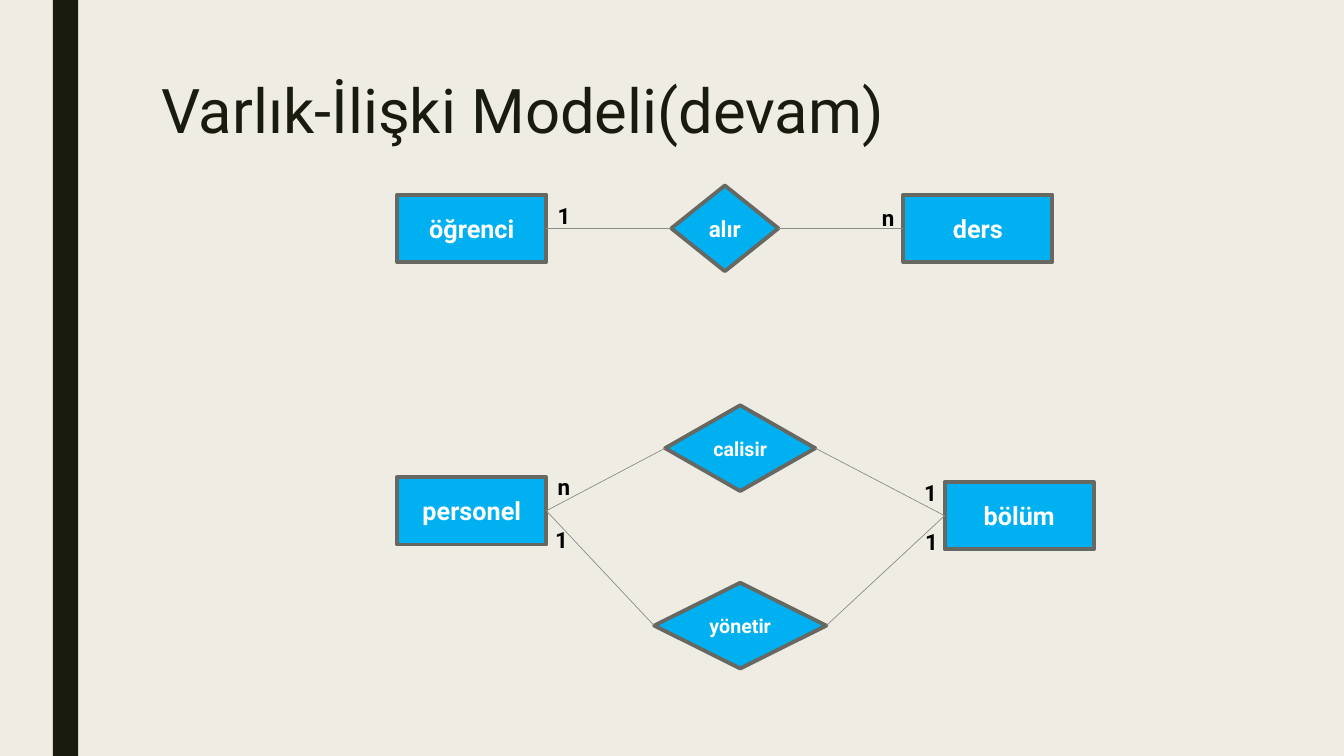
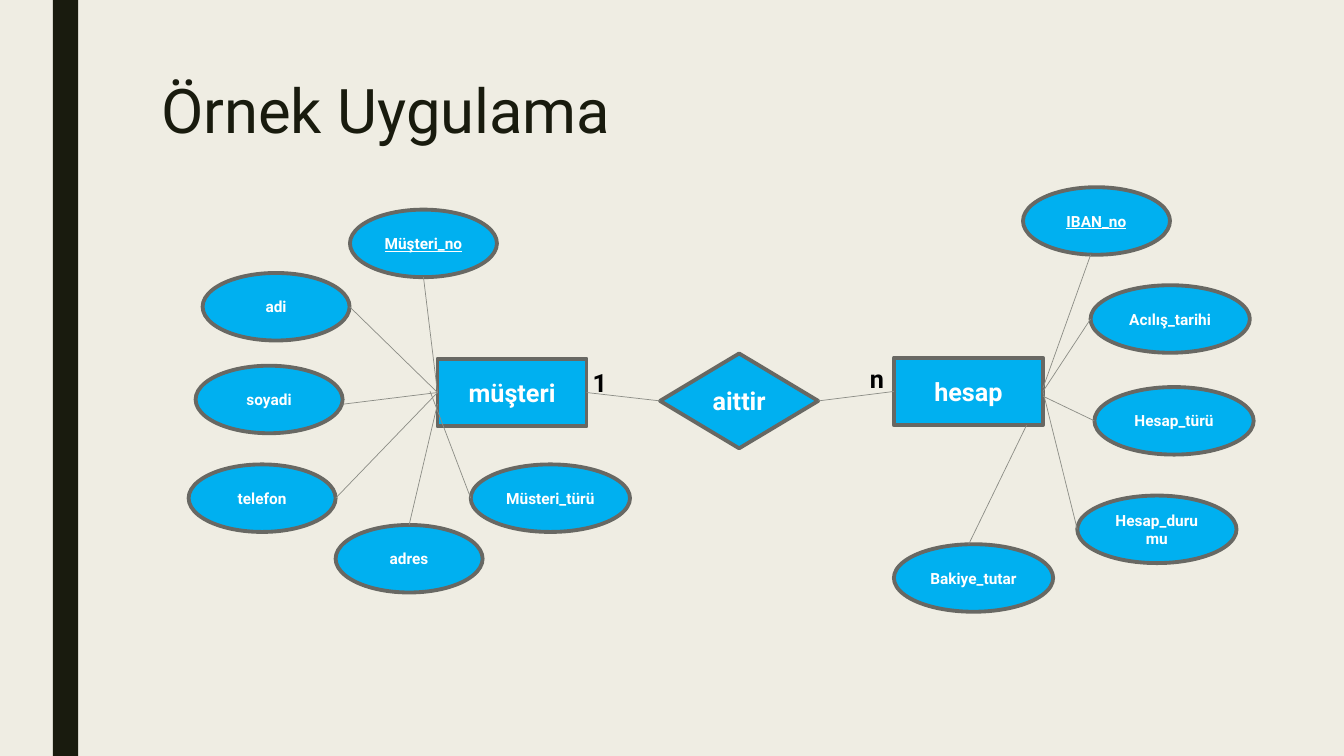
from dataclasses import dataclass

import pptx
import pptx.dml.color
import pptx.enum.shapes
import pptx.enum.text
import pptx.oxml.ns
import pptx.util
from lxml import etree

Pt = pptx.util.Pt
MSO = pptx.enum.shapes.MSO_SHAPE
ALIGN = pptx.enum.text.PP_ALIGN
ANCHOR = pptx.enum.text.MSO_ANCHOR


@dataclass(frozen=True)
class Theme:
    font: str = "Roboto"
    paper: str = "EFEDE3"
    ink: str = "191B0E"
    fill: str = "00B0F0"
    border: str = "686863"
    edge: str = "8C8D86"
    light: str = "FFFFFF"
    dark: str = "000000"
    title_size: int = 44
    entity_size: int = 18
    label_size: int = 16
    verb_size: int = 14
    attribute_size: int = 11


T = Theme()
ENTITY_W, ENTITY_H = 106.5, 48.25
ATTRIBUTE_H = 48.25
NARROW, WIDE = 105, 113.75  # attribute widths
LEFT, RIGHT, TOP, BOTTOM = (0, 0.5), (1, 0.5), (0.5, 0), (0.5, 1)


def rgb(value):
    return pptx.dml.color.RGBColor.from_string(value)


# Basic parts
def write(tf, text, size, color, bold=True, underline=None):
    tf.text = text
    p = tf.paragraphs[0]
    font = p.runs[0].font
    font.name, font.size, font.bold = T.font, Pt(size), bold
    font.underline = underline
    font.color.rgb = rgb(color)
    return p


def add_node(s, kind, x, y, w, h, text, size, underline=None):
    sp = s.shapes.add_shape(kind, Pt(x), Pt(y), Pt(w), Pt(h))
    sp.shadow.inherit = False
    sp.fill.solid()
    sp.fill.fore_color.rgb = rgb(T.fill)
    sp.line.color.rgb = rgb(T.border)
    sp.line.width = Pt(2.75)
    tf = sp.text_frame
    tf.word_wrap = True
    tf.vertical_anchor = ANCHOR.MIDDLE
    write(tf, text, size, T.light, underline=underline).alignment = ALIGN.CENTER
    return sp


def add_entity(s, x, y, text):
    return add_node(s, MSO.RECTANGLE, x, y, ENTITY_W, ENTITY_H, text, T.entity_size)


def spot(sp, at):
    """Point of a shape, given as fractions of its width and height."""
    return int(sp.left + at[0] * sp.width), int(sp.top + at[1] * sp.height)


def add_edge(s, a, at_a, b, at_b):
    line = s.shapes.add_connector(
        pptx.enum.shapes.MSO_CONNECTOR.STRAIGHT, *spot(a, at_a), *spot(b, at_b))
    line.line.color.rgb = rgb(T.edge)
    line.line.width = Pt(0.5)
    etree.SubElement(line._element.spPr, pptx.oxml.ns.qn("a:effectLst"))


def add_relation(s, left, right, x, y, w, h, text, size):
    """Diamond joined to the two entities beside it."""
    diamond = add_node(s, MSO.FLOWCHART_DECISION, x, y, w, h, text, size)
    add_edge(s, left, RIGHT, diamond, LEFT)
    add_edge(s, diamond, RIGHT, right, LEFT)


def add_label(s, x, y, text, size=T.label_size):
    tb = s.shapes.add_textbox(Pt(x), Pt(y), Pt(1.5 * size), Pt(1.65 * size))
    tb.text_frame.word_wrap = False
    write(tb.text_frame, text, size, T.dark)


# Shared frame: side band and title
def new_slide(prs, title):
    s = prs.slides.add_slide(prs.slide_layouts[6])
    band = s.shapes.add_shape(MSO.RECTANGLE, Pt(37.75), 0, Pt(18), prs.slide_height)
    band.shadow.inherit = False
    band.fill.solid()
    band.fill.fore_color.rgb = rgb(T.ink)
    band.line.fill.background()
    tb = s.shapes.add_textbox(Pt(108), Pt(54), Pt(756), Pt(116.5))
    tb.text_frame.word_wrap = True
    p = write(tb.text_frame, title, T.title_size, T.ink, bold=False)
    p.line_spacing = 0.89
    return s


# Regions
def single_relation(s, x, y, w, h):
    """Two entities at the ends of the box, one relation in its centre."""
    top = y + (h - ENTITY_H) / 2
    student = add_entity(s, x, top, "öğrenci")
    course = add_entity(s, x + w - ENTITY_W, top, "ders")
    verb_w = 76.5
    add_relation(s, student, course, x + (w - verb_w) / 2, y, verb_w, h,
                 "alır", T.label_size)
    add_label(s, x + 107.5, y + 8, "1")
    add_label(s, x + 339, y + 10, "n")


def double_relation(s, x, y, w, h):
    """Two entities joined by one relation above and one below."""
    staff = add_entity(s, x, y + 51.25, "personel")
    department = add_entity(s, x + w - ENTITY_W, y + 54.75, "bölüm")
    verb_h, axis = 61.25, x + 245
    for text, verb_w, top in (("calisir", 107.25, y), ("yönetir", 123, y + h - verb_h)):
        add_relation(s, staff, department, axis - verb_w / 2, top, verb_w, verb_h,
                     text, T.verb_size)
    for dx, dy, text in ((107.5, 44.75, "n"), (369.25, 49, "1"),
                         (370, 84.25, "1"), (105.75, 82.75, "1")):
        add_label(s, x + dx, y + dy, text)


def entity_cluster(s, x, y, name, attributes):
    """Entity at x, y with its attributes around it; the first is the key."""
    entity = add_entity(s, x, y, name)
    for i, (text, dx, dy, w, at_attribute, at_entity) in enumerate(attributes):
        oval = add_node(s, MSO.OVAL, x + dx, y + dy, w, ATTRIBUTE_H, text,
                        T.attribute_size, underline=True if i == 0 else None)
        add_edge(s, oval, at_attribute, entity, at_entity)
    return entity


# text, offset from the entity, width, edge point on attribute and on entity
CUSTOMER = [
    ("Müşteri_no", -62.5, -106.5, NARROW, TOP[:1] + (1,), LEFT),
    ("adi", -167.75, -61.25, NARROW, RIGHT, LEFT),
    ("soyadi", -172.75, 5, NARROW, (1, 0.57), LEFT),
    ("telefon", -177.75, 75.5, NARROW, RIGHT, LEFT),
    ("adres", -72.75, 118.75, NARROW, TOP, (0, 0.67)),
    ("Müsteri_türü", 23.75, 75.5, WIDE, LEFT, (-0.05, 0.48)),
]
ACCOUNT = [
    ("IBAN_no", 92.25, -121.75, NARROW, (0.46, 1), (1, 0.45)),
    ("Acılış_tarihi", 140.5, -51.75, WIDE, LEFT, RIGHT),
    ("Hesap_türü", 143.25, 21, WIDE, LEFT, (1, 0.57)),
    ("Hesap_durumu", 131, 98.5, WIDE, LEFT, RIGHT),
    ("Bakiye_tutar", 0, 133.25, WIDE, (0.47, 0), (0.89, 1)),
]


# Slides
def model_slide(prs):
    s = new_slide(prs, "Varlık-İlişki Modeli(devam)")
    single_relation(s, 283.75, 132.5, 468, 61.25)
    double_relation(s, 283.75, 289.5, 497.5, 188)


def example_slide(prs):
    s = new_slide(prs, "Örnek Uygulama")
    customer = entity_cluster(s, 312.5, 256.25, "müşteri", CUSTOMER)
    account = entity_cluster(s, 638.5, 255.5, "hesap", ACCOUNT)
    add_relation(s, customer, account, 471.5, 252.5, 113, 67.75, "aittir", T.entity_size)
    add_label(s, 416.25, 258.5, "1", T.entity_size)
    add_label(s, 614.25, 256.25, "n", T.entity_size)


def main():
    prs = pptx.Presentation()
    prs.slide_width, prs.slide_height = Pt(960), Pt(540)
    background = prs.slide_master.background.fill
    background.solid()
    background.fore_color.rgb = rgb(T.paper)
    model_slide(prs)
    example_slide(prs)
    prs.save("out.pptx")


if __name__ == "__main__":
    main()
